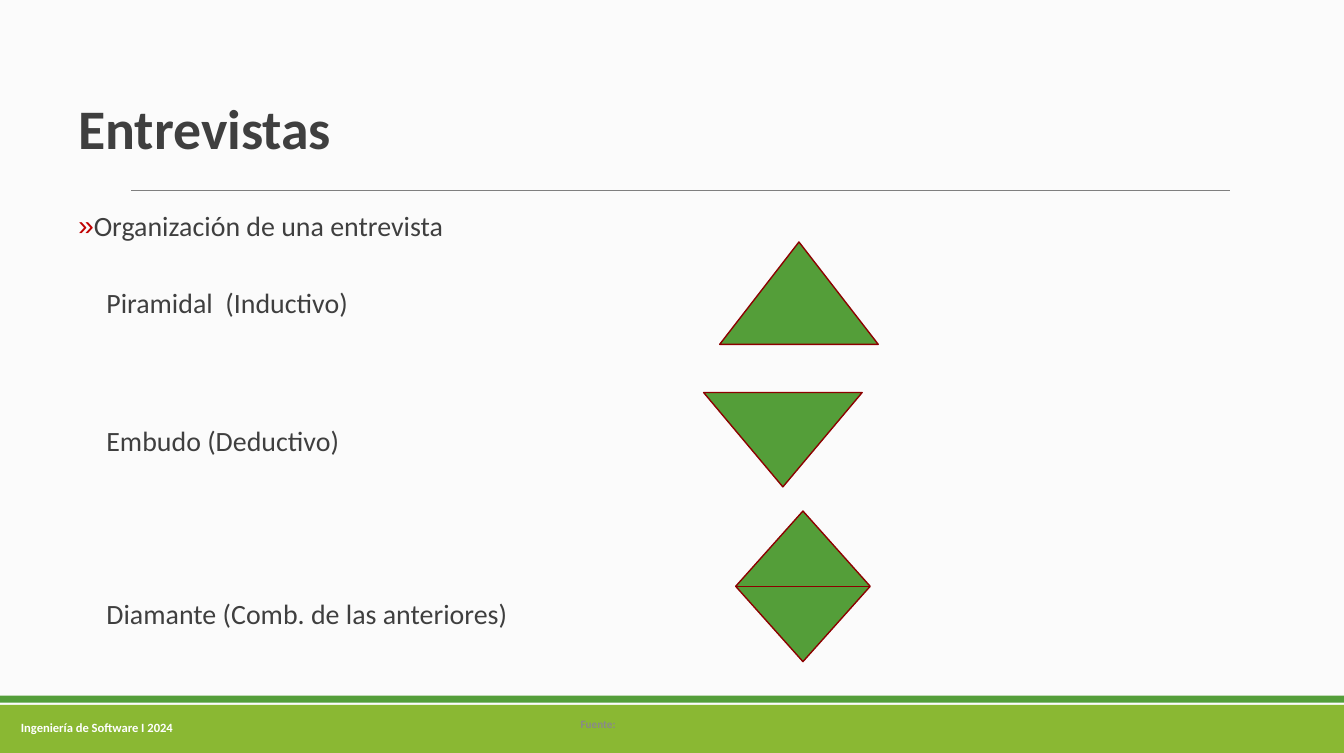
from dataclasses import dataclass

from lxml import etree
from pptx import Presentation
from pptx import util as u
from pptx.dml.color import RGBColor
from pptx.enum import shapes, text
from pptx.oxml import ns

Inches = u.Inches


@dataclass(frozen=True)
class Theme:
    font: str = "Calibri"
    background: str = "FBFBFB"
    ink: str = "3F3F3F"
    rule: str = "7F7F7F"
    muted: str = "898989"
    white: str = "FFFFFF"
    bullet: str = "C00000"
    lime: str = "8AB833"
    green: str = "549E39"
    outline: str = "8C0000"
    title: int = 40
    body: int = 20
    footer: int = 9
    source: int = 8


theme = Theme()


def write(p, content, size=theme.body, color=theme.ink, bold=False,
          align=text.PP_ALIGN.LEFT, before=0, spacing=1.0, margin=0, indent=0, bullet=None):
    """Fill paragraph p; margin and indent are in inches, before in points."""
    pPr = p._p.get_or_add_pPr()
    pPr.set("marL", str(Inches(margin)))
    pPr.set("indent", str(Inches(indent)))
    p.alignment, p.line_spacing, p.space_before = align, spacing, u.Pt(before)
    if bullet:
        clr = etree.SubElement(pPr, ns.qn("a:buClr"))
        etree.SubElement(clr, ns.qn("a:srgbClr"), val=theme.bullet)
        etree.SubElement(pPr, ns.qn("a:buChar"), char=bullet)
    else:
        etree.SubElement(pPr, ns.qn("a:buNone"))
    r = p.add_run()
    r.text = content
    r.font.name, r.font.size, r.font.bold = theme.font, u.Pt(size), bold
    r.font.color.rgb = RGBColor.from_string(color)


def add_figure(kind, left, top, width, height, fill, line=None):
    sp = s.shapes.add_shape(kind, Inches(left), Inches(top), Inches(width), Inches(height))
    sp.shadow.inherit = False
    sp.fill.solid()
    sp.fill.fore_color.rgb = RGBColor.from_string(fill)
    if line:
        sp.line.color.rgb = RGBColor.from_string(line)
        sp.line.width = u.Pt(1)
    else:
        sp.line.fill.background()


prs = Presentation()
prs.slide_width, prs.slide_height = Inches(13.39), Inches(7.5)
s = prs.slides.add_slide(prs.slide_layouts[1])
s.background.fill.solid()
s.background.fill.fore_color.rgb = RGBColor.from_string(theme.background)

# Footer bands and title rule
shape = shapes.MSO_SHAPE
add_figure(shape.RECTANGLE, 0, 7.02, 13.39, 0.48, theme.lime)
add_figure(shape.RECTANGLE, 0, 6.93, 13.39, 0.07, theme.green)
rule = s.shapes.add_connector(shapes.MSO_CONNECTOR.STRAIGHT,
                              Inches(1.31), Inches(1.9), Inches(12.25), Inches(1.9))
rule.line.color.rgb = RGBColor.from_string(theme.rule)
rule.line.width = u.Pt(0.75)
etree.SubElement(rule._element.spPr, ns.qn("a:effectLst"))

# Footer texts
for content, left, top, width, height, size, color, align in [
    ("Ingeniería de Software I 2024", 0.11, 7.05, 3.5, 0.4, theme.footer, theme.white,
     text.PP_ALIGN.LEFT),
    ("Fuente:", 4.96, 7.06, 2, 0.3, theme.source, theme.muted, text.PP_ALIGN.CENTER),
]:
    tf = s.shapes.add_textbox(Inches(left), Inches(top), Inches(width), Inches(height)).text_frame
    tf.word_wrap = True
    tf.vertical_anchor = text.MSO_ANCHOR.MIDDLE
    write(tf.paragraphs[0], content, size=size, color=color, bold=True, align=align)

# Title and list
title, body = s.shapes.title, s.placeholders[1]
for sp, top, width, height, anchor in [
    (title, 0.7, 11.83, 1.24, text.MSO_ANCHOR.MIDDLE),
    (body, 2.08, 10.75, 4.9, text.MSO_ANCHOR.TOP),
]:
    sp.left, sp.top, sp.width, sp.height = Inches(0.68), Inches(top), Inches(width), Inches(height)
    sp.text_frame.auto_size = text.MSO_AUTO_SIZE.NONE
    sp.text_frame.vertical_anchor = anchor

write(title.text_frame.paragraphs[0], "Entrevistas", size=theme.title, bold=True, spacing=0.85)
tf = body.text_frame
write(tf.paragraphs[0], "Organización de una entrevista", spacing=0.85,
      margin=0.07, indent=-0.07, bullet="»")
for content, before in [
    ("Piramidal  (Inductivo)", 34.5),
    ("Embudo (Deductivo)", 79),
    ("Diamante (Comb. de las anteriores)", 103.5),
]:
    p = tf.add_paragraph()
    p.level = 1
    write(p, content, before=before, spacing=0.85, margin=0.28)

# One figure for each way to organise the interview
for kind, left, top, width, height in [
    (shape.ISOSCELES_TRIANGLE, 7.17, 2.41, 1.58, 1.02),
    (shape.FLOWCHART_MERGE, 7.01, 3.91, 1.58, 0.94),
    (shape.FLOWCHART_SORT, 7.33, 5.09, 1.34, 1.5),
]:
    add_figure(kind, left, top, width, height, theme.green, theme.outline)

prs.save("out.pptx")
